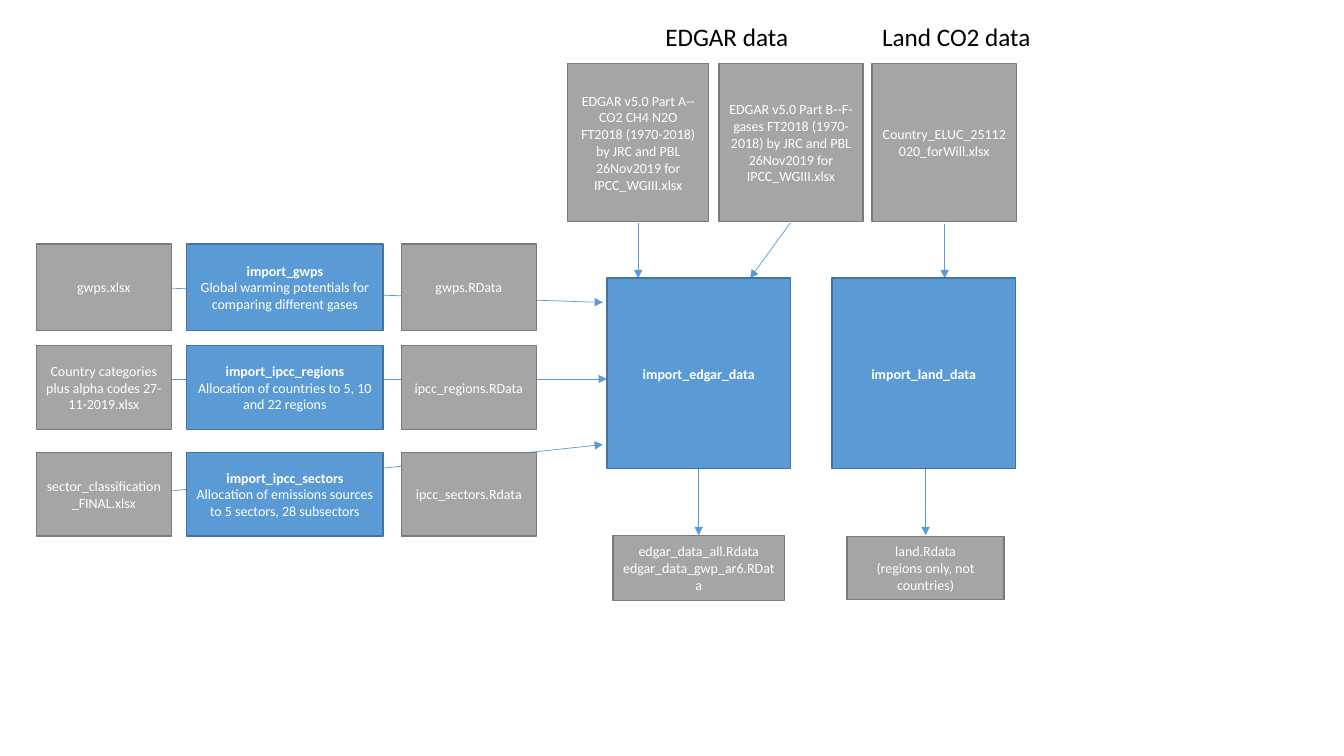
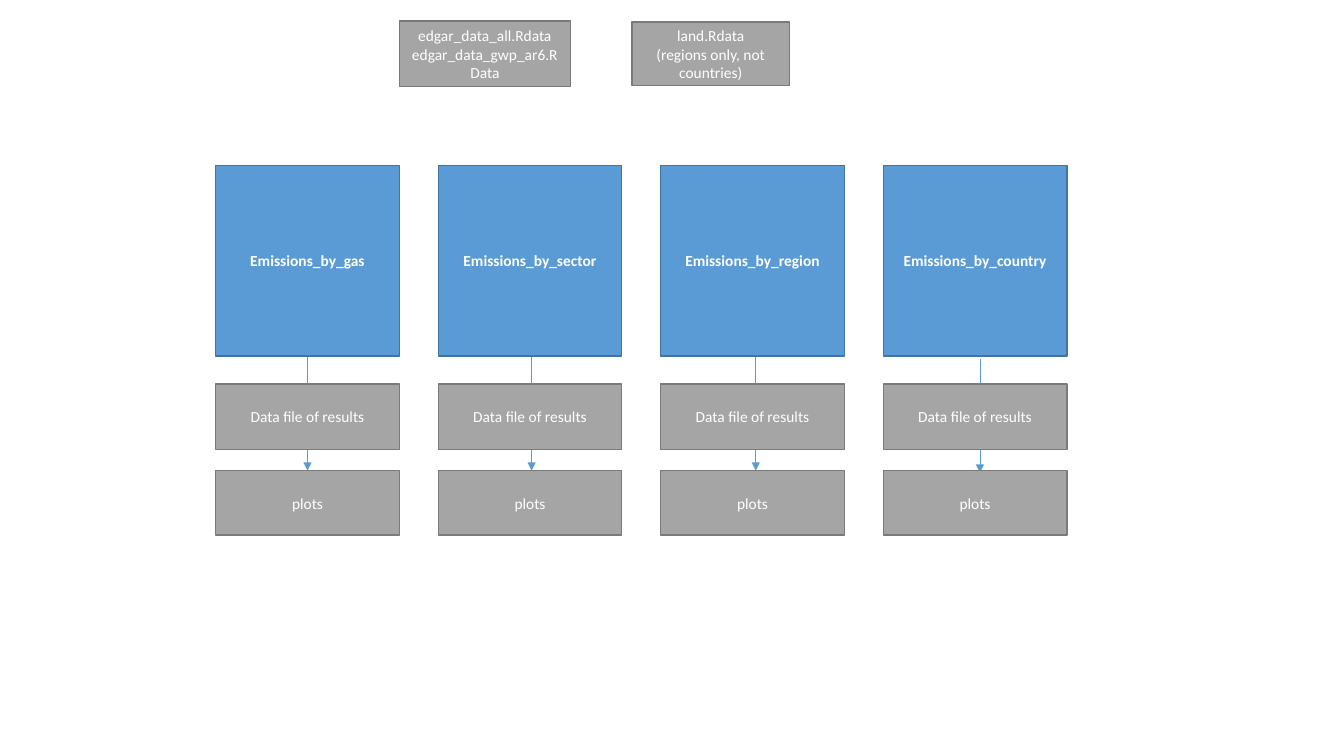
from lxml import etree
from pptx import Presentation
from pptx.dml.color import RGBColor
from pptx.enum.shapes import MSO_CONNECTOR, MSO_SHAPE
from pptx.enum.text import MSO_ANCHOR, MSO_AUTO_SIZE, PP_ALIGN
from pptx.oxml.ns import qn
from pptx.util import Inches, Pt

COLORS = {"blue": "5B9BD5", "blue_edge": "43739E", "gray": "A5A5A5",
          "gray_edge": "7A7A7A", "white": "FFFFFF", "black": "000000"}
FONT = "Calibri"
STYLES = {"script": ("blue", "blue_edge", True), "file": ("gray", "gray_edge", False)}

EDGAR_OUTPUT = ["edgar_data_all.Rdata", "edgar_data_gwp_ar6.RData"]
LAND_OUTPUT = ["land.Rdata", "(regions only, not countries)"]
SCRIPT_SIZE = (1.82, 1.89)
EDGAR_OUTPUT_SIZE = (1.7, 0.65)
LAND_OUTPUT_SIZE = (1.56, 0.63)

HEADINGS = [("EDGAR data", (6.5, 0.16, 1.43, 0.4)),
            ("Land CO2 data", (8.65, 0.16, 1.69, 0.4))]
SOURCES = [
    ("EDGAR v5.0 Part A--CO2 CH4 N2O FT2018 (1970-2018) by JRC and PBL "
     "26Nov2019 for IPCC_WGIII.xlsx", 5.63, 1.4),
    ("EDGAR v5.0 Part B--F-gases FT2018 (1970-2018) by JRC and PBL "
     "26Nov2019 for IPCC_WGIII.xlsx", 7.13, 1.43),
    ("Country_ELUC_25112020_forWill.xlsx", 8.65, 1.43),
]
SOURCE_TOP, SOURCE_HEIGHT = 0.63, 1.57
IMPORTS = [("import_edgar_data", 6.02), ("import_land_data", 8.25)]
IMPORT_TOP = 2.76
LOOKUP_COLUMNS = [("file", 0.36, 1.34), ("script", 1.85, 1.95), ("file", 3.98, 1.34)]
LOOKUPS = [
    (2.42, 0.86, [["gwps.xlsx"],
                  ["import_gwps", "Global warming potentials for comparing different gases"],
                  ["gwps.RData"]]),
    (3.43, 0.83, [["Country categories plus alpha codes 27-11-2019.xlsx"],
                  ["import_ipcc_regions", "Allocation of countries to 5, 10 and 22 regions"],
                  ["ipcc_regions.RData"]]),
    (4.49, 0.83, [["sector_classification_FINAL.xlsx"],
                  ["import_ipcc_sectors",
                   "Allocation of emissions sources to 5 sectors, 28 subsectors"],
                  ["ipcc_sectors.Rdata"]]),
]
IMPORT_ARROWS = [
    (6.33, 2.21, 6.33, 2.76), (7.84, 2.21, 7.44, 2.76), (9.37, 2.22, 9.37, 2.76),
    (1.71, 2.86, 5.98, 3), (1.71, 3.76, 6.02, 3.76), (1.71, 4.87, 5.98, 4.41),
    (6.93, 4.65, 6.93, 5.31), (9.18, 4.65, 9.18, 5.31),
]

ANALYSES = [("Emissions_by_gas", 3.54), ("Emissions_by_sector", 3.54),
            ("Emissions_by_region", 3.54), ("Emissions_by_country", 3.56)]
ANALYSIS_LEFT, ANALYSIS_PITCH, ANALYSIS_TOP = 2.14, 2.207, 1.64
RESULTS = [("Data file of results", 3.81, 0.65), ("plots", 4.67, 0.64)]
ARROW_LEFT, ARROW_PITCH, ARROW_LENGTH = 3.05, 2.223, 1.13


def rgb(name):
    return RGBColor.from_string(COLORS[name])


def write(frame, lines, size, color, bold=False, align=PP_ALIGN.LEFT):
    for index, line in enumerate(lines):
        para = frame.paragraphs[0] if index == 0 else frame.add_paragraph()
        para.alignment = align
        span = para.add_run()
        span.text = line
        span.font.color.rgb = rgb(color)
        formats = {"name": FONT, "size": Pt(size), "bold": bold and index == 0}
        for key, value in formats.items():
            setattr(span.font, key, value)


def add_box(page, style, place, lines, size):
    fill, edge, bold = STYLES[style]
    box = page.shapes.add_shape(MSO_SHAPE.RECTANGLE, *map(Inches, place))
    box.shadow.inherit = False
    box.fill.solid()
    box.fill.fore_color.rgb = rgb(fill)
    box.line.color.rgb = rgb(edge)
    box.line.width = Pt(1)
    frame = box.text_frame
    frame.word_wrap = True
    frame.vertical_anchor = MSO_ANCHOR.MIDDLE
    write(frame, lines, size, "white", bold, PP_ALIGN.CENTER)


def add_heading(page, text, place):
    frame = page.shapes.add_textbox(*map(Inches, place)).text_frame
    frame.word_wrap = False
    frame.auto_size = MSO_AUTO_SIZE.SHAPE_TO_FIT_TEXT
    write(frame, [text], 18, "black")


def add_arrow(page, ends):
    arrow = page.shapes.add_connector(MSO_CONNECTOR.STRAIGHT, *map(Inches, ends))
    arrow.line.color.rgb = rgb("blue")
    arrow.line.width = Pt(0.5)
    etree.SubElement(arrow.line._get_or_add_ln(), qn("a:tailEnd"), type="triangle")
    etree.SubElement(arrow._element.spPr, qn("a:effectLst"))


def build_imports(page):
    for ends in IMPORT_ARROWS:
        add_arrow(page, ends)
    for text, left, width in SOURCES:
        add_box(page, "file", (left, SOURCE_TOP, width, SOURCE_HEIGHT), [text], 10)
    for name, left in IMPORTS:
        add_box(page, "script", (left, IMPORT_TOP, *SCRIPT_SIZE), [name], 10)
    for top, height, cells in LOOKUPS:
        for (style, left, width), lines in zip(LOOKUP_COLUMNS, cells):
            add_box(page, style, (left, top, width, height), lines, 10)
    add_box(page, "file", (6.08, 5.31, *EDGAR_OUTPUT_SIZE), EDGAR_OUTPUT, 10)
    add_box(page, "file", (8.4, 5.32, *LAND_OUTPUT_SIZE), LAND_OUTPUT, 10)
    for text, place in HEADINGS:
        add_heading(page, text, place)


def build_analyses(page):
    add_box(page, "file", (3.96, 0.21, *EDGAR_OUTPUT_SIZE), EDGAR_OUTPUT, 11)
    add_box(page, "file", (6.27, 0.22, *LAND_OUTPUT_SIZE), LAND_OUTPUT, 11)
    for column, (name, arrow_top) in enumerate(ANALYSES):
        left = ANALYSIS_LEFT + column * ANALYSIS_PITCH
        middle = ARROW_LEFT + column * ARROW_PITCH
        add_box(page, "script", (left, ANALYSIS_TOP, *SCRIPT_SIZE), [name], 11)
        add_arrow(page, (middle, arrow_top, middle, arrow_top + ARROW_LENGTH))
        for text, top, height in RESULTS:
            add_box(page, "file", (left, top, SCRIPT_SIZE[0], height), [text], 11)


deck = Presentation()
deck.slide_width, deck.slide_height = Inches(13.33), Inches(7.5)
blank = deck.slide_layouts[6]
for build in (build_imports, build_analyses):
    build(deck.slides.add_slide(blank))
deck.save("out.pptx")
